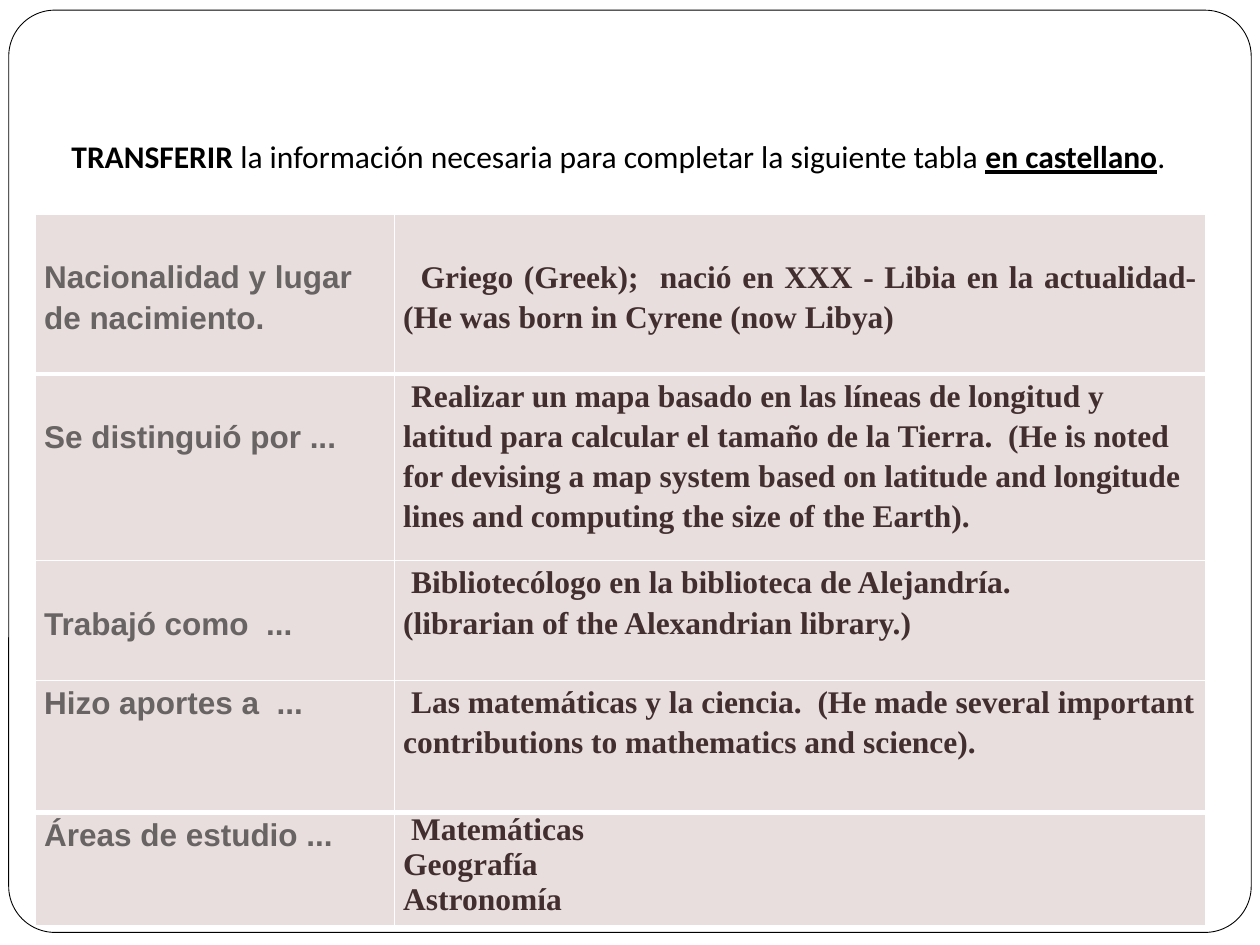
from lxml.etree import SubElement
from pptx import Presentation
from pptx.dml.color import RGBColor
from pptx.enum.shapes import MSO_SHAPE
from pptx.enum.text import MSO_ANCHOR, PP_ALIGN
from pptx.oxml.ns import qn
from pptx.util import Pt

WHITE, BLACK = "FFFFFF", "000000"
CELL_FILL, LABEL_COLOR, ANSWER_COLOR = "E8DEDE", "696464", "422E2E"
LINE_DROP = 23.4  # height of one text line, used to lower a cell's text
COLUMN_WIDTHS = (205.2, 463.7)

# Each row: height, label, label drop, answer paragraphs, answer format
ROWS = [
    (91.4, "Nacionalidad y lugar de nacimiento.", LINE_DROP,
     ["Griego (Greek);  nació en XXX - Libia en la actualidad- "
      "(He was born in Cyrene (now Libya)"],
     dict(indent=10, align=PP_ALIGN.JUSTIFY, drop=LINE_DROP)),
    (106.6, "Se distinguió por ...", LINE_DROP,
     ["Realizar un mapa basado en las líneas de longitud y latitud para "
      "calcular el tamaño de la Tierra.  (He is noted for devising a map "
      "system based on latitude and longitude lines and computing the size "
      "of the Earth)."], {}),
    (68.4, "Trabajó como  ...", LINE_DROP,
     ["Bibliotecólogo en la biblioteca de Alejandría.",
      "(librarian of the Alexandrian library.)"], {}),
    (75.6, "Hizo aportes a  ...", 0,
     ["Las matemáticas y la ciencia.  (He made several important "
      "contributions to mathematics and science)."], {}),
    (61.2, "Áreas de estudio ...", 0,
     ["Matemáticas", "Geografía", "Astronomía"], dict(spacing=1.0)),
]
THICK_EDGES = (1, 4)  # horizontal rules, counted from the top of the table


def color(hex_string):
    return RGBColor.from_string(hex_string)


def add_text(paragraph, text, font="Calibri", size=18, fill=BLACK,
             bold=False, underline=False):
    run = paragraph.add_run()
    run.text = text
    run.font.name = font
    run.font.size = Pt(size)
    run.font.bold = bold
    run.font.underline = underline
    run.font.color.rgb = color(fill)


def add_frame(slide):
    frame = slide.shapes.add_shape(MSO_SHAPE.ROUNDED_RECTANGLE,
                                   Pt(5), Pt(5.8), Pt(710), Pt(527))
    frame.adjustments[0] = 0.05
    frame.shadow.inherit = False
    frame.fill.solid()
    frame.fill.fore_color.rgb = color(WHITE)
    frame.line.color.rgb = color(BLACK)
    frame.line.width = Pt(0.5)


def add_title(slide):
    box = slide.shapes.add_textbox(Pt(33.8), Pt(44.6), Pt(648), Pt(62.6))
    text_frame = box.text_frame
    text_frame.word_wrap = True
    text_frame.vertical_anchor = MSO_ANCHOR.BOTTOM
    text_frame.margin_bottom = Pt(7.2)
    paragraph = text_frame.paragraphs[0]
    add_text(paragraph, "TRANSFERIR ", bold=True)
    add_text(paragraph,
             "la información necesaria para completar la siguiente tabla ")
    add_text(paragraph, "en castellano", bold=True, underline=True)
    add_text(paragraph, ".")


def set_borders(cell, top, bottom):
    properties = cell._tc.get_or_add_tcPr()
    widths = {"a:lnL": 1, "a:lnR": 1, "a:lnT": top, "a:lnB": bottom}
    for position, (tag, width) in enumerate(widths.items()):
        line = SubElement(properties, qn(tag), w=str(Pt(width)))
        fill = SubElement(line, qn("a:solidFill"))
        SubElement(fill, qn("a:srgbClr"), val=WHITE)
        properties.insert(position, line)  # borders come before the fill


def fill_cell(cell, texts, font, fill, drop=0, indent=0, spacing=1.15,
              align=PP_ALIGN.LEFT):
    cell.fill.solid()
    cell.fill.fore_color.rgb = color(CELL_FILL)
    cell.margin_left = cell.margin_right = Pt(5)
    cell.margin_top, cell.margin_bottom = Pt(drop), 0
    for number, text in enumerate(texts):
        text_frame = cell.text_frame
        paragraph = (text_frame.add_paragraph() if number
                     else text_frame.paragraphs[0])
        paragraph.alignment = align
        paragraph.line_spacing = spacing
        if indent and not number:
            paragraph._p.get_or_add_pPr().set("indent", str(Pt(indent)))
        add_text(paragraph, text, font=font, fill=fill, bold=True)


def add_answer_table(slide):
    heights = [row[0] for row in ROWS]
    table = slide.shapes.add_table(
        len(ROWS), len(COLUMN_WIDTHS), Pt(20.2), Pt(122.4),
        Pt(sum(COLUMN_WIDTHS)), Pt(sum(heights))).table
    for column, width in zip(table.columns, COLUMN_WIDTHS):
        column.width = Pt(width)
    for index, (height, label, drop, answers, style) in enumerate(ROWS):
        table.rows[index].height = Pt(height)
        label_cell, answer_cell = table.rows[index].cells
        fill_cell(label_cell, [label], "Arial", LABEL_COLOR, drop=drop)
        fill_cell(answer_cell, answers, "Times New Roman", ANSWER_COLOR,
                  **{"indent": 4.5, **style})
        top, bottom = (3 if edge in THICK_EDGES else 1
                       for edge in (index, index + 1))
        for cell in (label_cell, answer_cell):
            set_borders(cell, top, bottom)


def main():
    presentation = Presentation()
    presentation.slide_width, presentation.slide_height = Pt(720), Pt(540)
    slide = presentation.slides.add_slide(presentation.slide_layouts[6])
    add_frame(slide)
    add_title(slide)
    add_answer_table(slide)
    presentation.save("out.pptx")


if __name__ == "__main__":
    main()
